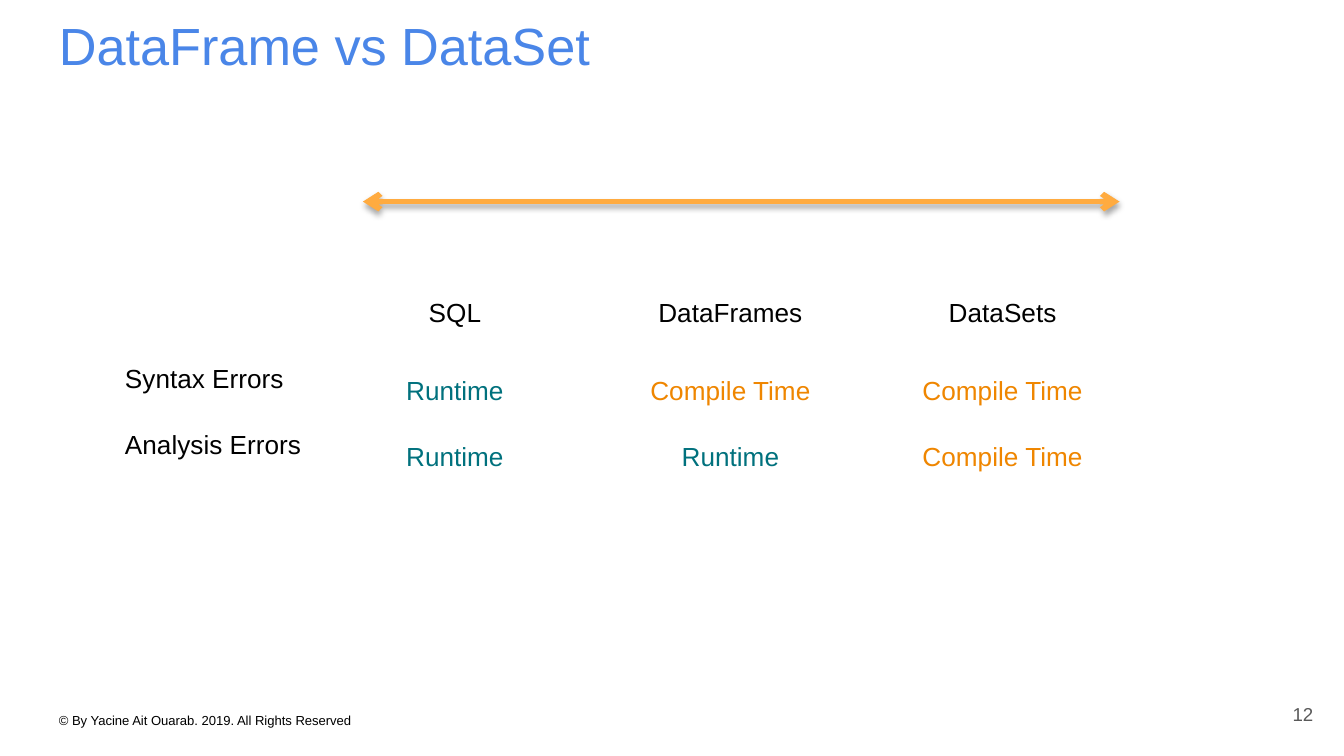
from lxml.etree import SubElement
from pptx import Presentation
from pptx.dml.color import RGBColor
from pptx.enum.shapes import MSO_CONNECTOR
from pptx.enum.text import MSO_ANCHOR, PP_ALIGN
from pptx.oxml.ns import qn
from pptx.util import Inches, Pt

HUES = {
    "title": "4A86E8",
    "text": "000000",
    "page": "595959",
    "arrow": "FFAB40",
    "Runtime": "00717D",
    "Compile Time": "EF8600",
}
COLS = [1.58, 1.95, 2.15, 1.9]
ROWS = [
    ["", "SQL", "DataFrames", "DataSets"],
    ["Syntax Errors", "Runtime", "Compile Time", "Compile Time"],
    ["Analysis Errors", "Runtime", "Runtime", "Compile Time"],
]


def apply(item, form):
    for name, value in form.items():
        setattr(item, name, value)


def write(frame, text, size, hue, align=PP_ALIGN.LEFT):
    para = frame.paragraphs[0]
    para.alignment = align
    run = para.add_run()
    run.text = text
    apply(run.font, {"name": "Arial", "size": Pt(size)})
    run.font.color.rgb = RGBColor.from_string(HUES[hue])


def add_label(slide, box, text, size, hue, align=PP_ALIGN.LEFT, anchor=MSO_ANCHOR.TOP):
    frame = slide.shapes.add_textbox(*map(Inches, box)).text_frame
    sides = ("left", "top", "right")
    form = {f"margin_{side}": Inches(0.1) for side in sides}
    form["margin_bottom"] = Inches(0 if anchor == MSO_ANCHOR.TOP else 0.1)
    apply(frame, {"word_wrap": True, "vertical_anchor": anchor, **form})
    write(frame, text, size, hue, align)


def add_arrow(slide, box):
    left, top, width, height = box
    ends = map(Inches, (left, top, left + width, top + height))
    arrow = slide.shapes.add_connector(MSO_CONNECTOR.STRAIGHT, *ends)
    arrow.line.width = Pt(3)
    arrow.line.color.rgb = RGBColor.from_string(HUES["arrow"])
    props = arrow._element.spPr
    line = props.find(qn("a:ln"))
    for tag in ("a:headEnd", "a:tailEnd"):
        SubElement(line, qn(tag), type="arrow")
    effects = SubElement(props, qn("a:effectLst"))
    form = {"blurRad": Pt(3.1), "dist": Pt(1.8), "dir": 90 * 60000}
    shade = SubElement(effects, qn("a:outerShdw"), rotWithShape="0")
    for name, value in form.items():
        shade.set(name, str(int(value)))
    color = SubElement(shade, qn("a:srgbClr"), val=HUES["text"])
    SubElement(color, qn("a:alpha"), val="35000")


def add_grid(slide, box):
    height = box[3] / len(ROWS)
    table = slide.shapes.add_table(len(ROWS), len(COLS), *map(Inches, box)).table
    apply(table, {"first_row": False, "horz_banding": False})
    for col, width in zip(table.columns, COLS):
        col.width = Inches(width)
    for r, texts in enumerate(ROWS):
        table.rows[r].height = Inches(height)
        for c, text in enumerate(texts):
            cell = table.cell(r, c)
            cell.fill.background()
            if r and c:
                cell.vertical_anchor = MSO_ANCHOR.MIDDLE
            if text:
                hue = text if text in HUES else "text"
                align = PP_ALIGN.CENTER if c else PP_ALIGN.LEFT
                write(cell.text_frame, text, 14, hue, align)


def main():
    deck = Presentation()
    width = Inches(10)
    apply(deck, {"slide_width": width, "slide_height": width * 9 // 16})
    slide = deck.slides.add_slide(deck.slide_layouts[6])
    add_label(slide, (0.34, 5.2, 9.32, 0.24),
              "© By Yacine Ait Ouarab. 2019. All Rights Reserved", 7, "text")
    add_label(slide, (0.34, 0, 9.32, 0.63), "DataFrame vs DataSet", 28, "title")
    add_label(slide, (9.27, 5.1, 0.6, 0.43), "12", 10, "page",
              PP_ALIGN.RIGHT, MSO_ANCHOR.MIDDLE)
    add_arrow(slide, (2.7, 1.5, 5.63, 0))
    add_grid(slide, (0.83, 2.17, sum(COLS), 1.48))
    deck.save("out.pptx")


if __name__ == "__main__":
    main()
